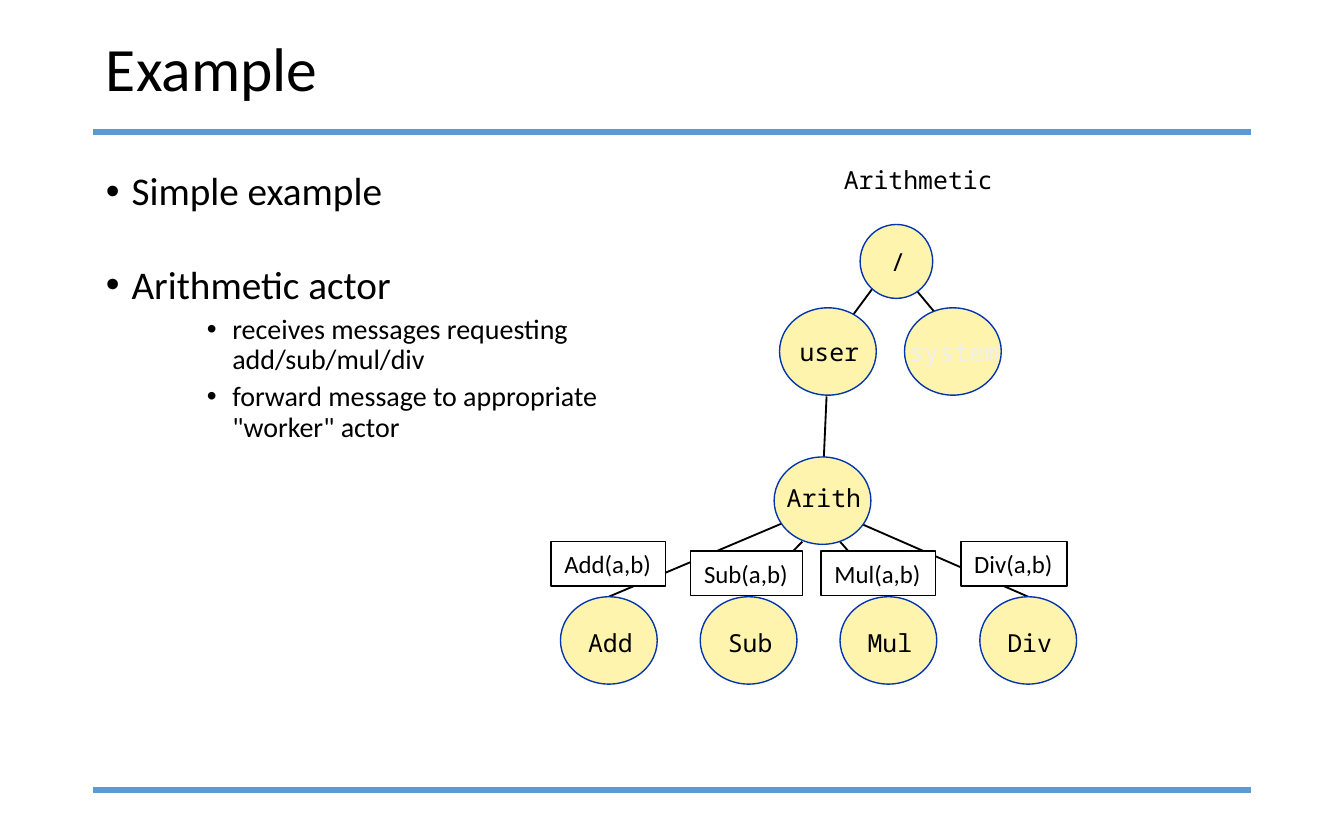
import pptx
import pptx.dml.color
import pptx.enum.shapes
import pptx.enum.text
import pptx.oxml.ns
import pptx.util
import lxml.etree

RGB = pptx.dml.color.RGBColor
BLACK = RGB(0x00, 0x00, 0x00)
WHITE = RGB(0xFF, 0xFF, 0xFF)
PALE = RGB(0xF1, 0xF0, 0xF0)
CREAM = RGB(0xFF, 0xF4, 0xAD)
NAVY = RGB(0x02, 0x35, 0xAD)
BLUE = RGB(0x5B, 0x9B, 0xD5)

SANS, MONO = "Calibri", "Noto Sans Mono"
COLS, ROWS = 100, 62.5  # each cell of the grid is a tenth of an inch
WIDE, HIGH = 10, 6.25
OVAL = pptx.enum.shapes.MSO_SHAPE.OVAL
BOX = pptx.enum.shapes.MSO_SHAPE.RECTANGLE
MIDDLE = pptx.enum.text.MSO_ANCHOR.MIDDLE
LEFT = pptx.enum.text.PP_ALIGN.LEFT


def write(para, text, font=SANS, size=13.3, color=BLACK, level=0,
          space=None, before=None, indent=None):
    """Fill one paragraph; an indent (in columns) also gives it a bullet."""
    para.level = level
    para.alignment = LEFT
    para.line_spacing = space
    if before is not None:
        para.space_before = pptx.util.Pt(before)
    run = para.add_run()
    run.text = text
    run.font.name = font
    run.font.size = pptx.util.Pt(size)
    run.font.color.rgb = color
    if indent is not None:
        props = para._p.get_or_add_pPr()
        props.set("marL", str(Deck.across(indent)))
        props.set("indent", str(-Deck.across(1.9)))
        for tag, key, value in (("a:buFont", "typeface", "Arial"),
                                ("a:buChar", "char", "•")):
            mark = lxml.etree.SubElement(props, pptx.oxml.ns.qn(tag))
            mark.set(key, value)


class Deck:
    """Holds the style and the current slide; lengths are columns and rows."""

    def __init__(self):
        self.show = pptx.Presentation()
        self.show.slide_width = pptx.util.Inches(WIDE)
        self.show.slide_height = pptx.util.Inches(HIGH)
        self.slide = self.show.slides.add_slide(self.show.slide_layouts[6])
        self.shapes = self.slide.shapes

    @staticmethod
    def across(cols):
        return pptx.util.Inches(cols * WIDE / COLS)

    @staticmethod
    def down(rows):
        return pptx.util.Inches(rows * HIGH / ROWS)

    def place(self, x, y, w, h):
        return self.across(x), self.down(y), self.across(w), self.down(h)

    def line(self, x1, y1, x2, y2, color=BLACK, width=1):
        kind = pptx.enum.shapes.MSO_CONNECTOR.STRAIGHT
        link = self.shapes.add_connector(
            kind, self.across(x1), self.down(y1), self.across(x2), self.down(y2))
        link.line.color.rgb = color
        link.line.width = pptx.util.Pt(width)
        lxml.etree.SubElement(link._element.spPr, pptx.oxml.ns.qn("a:effectLst"))

    def block(self, x, y, w, h):
        """Wrapping text area, returned for its paragraphs to be filled."""
        frame = self.shapes.add_textbox(*self.place(x, y, w, h)).text_frame
        frame.word_wrap = True
        return frame

    def fit(self, frame, text, **style):
        frame.word_wrap = False
        frame.auto_size = pptx.enum.text.MSO_AUTO_SIZE.SHAPE_TO_FIT_TEXT
        write(frame.paragraphs[0], text, **style)

    def label(self, x, y, text, color=BLACK):
        """Monospaced label centred on column x, its width set by the text."""
        w = 2 + 1.12 * len(text)
        area = self.shapes.add_textbox(*self.place(x - w / 2, y, w, 3.3))
        self.fit(area.text_frame, text, font=MONO, color=color)

    def form(self, kind, x, y, w, h, fill, edge):
        shape = self.shapes.add_shape(kind, *self.place(x, y, w, h))
        shape.shadow.inherit = False
        shape.fill.solid()
        shape.fill.fore_color.rgb = fill
        shape.line.color.rgb = edge
        shape.line.width = pptx.util.Pt(0.75)
        return shape

    def node(self, x, y, text, w=7.2, h=6.5, drop=0.1, color=BLACK):
        self.form(OVAL, x, y, w, h, CREAM, NAVY)
        self.label(x + w / 2 + 0.15, y + (h - 3.3) / 2 + drop, text, color)

    def note(self, x, y, w, text):
        shape = self.form(BOX, x, y, w, 3.3, WHITE, BLACK)
        self.fit(shape.text_frame, text)

    def save(self):
        self.show.save("out.pptx")


def main():
    deck = Deck()

    # Rules above and below the content
    for row in (9.8, 58.8):
        deck.line(6.9, row, 93.1, row, BLUE, 3)

    # Title
    head = deck.block(6.9, 1.8, 86.2, 7)
    head.vertical_anchor = MIDDLE
    write(head.paragraphs[0], "Example", size=33, space=0.9)

    # Bullets
    main_style = dict(size=21, indent=1.9)
    sub_style = dict(size=15, indent=9.4, level=2, before=3.8)
    points = [
        ("Simple example", dict(main_style, before=7.5)),
        ("Arithmetic actor", dict(main_style, before=27.5)),
        ("receives messages requesting add/sub/mul/div", sub_style),
        ("forward message to appropriate \"worker\" actor", sub_style),
    ]
    body = deck.block(6.9, 12.3, 38.9, 27.1)
    for i, (text, style) in enumerate(points):
        para = body.add_paragraph() if i else body.paragraphs[0]
        write(para, text, space=0.9, **style)

    # Tree edges, behind the nodes
    first, step, top = 41.7, 10.4, 44.4
    deck.line(64.9, 21.5, 63.2, 23.8)
    deck.line(68.1, 21.5, 69.6, 23.3)
    deck.line(61.5, 29.5, 61.3, 34)
    starts = [(58.3, 38.9), (59.7, 40.3), (62.5, 40.3), (63.9, 38.9)]
    for i, (x, y) in enumerate(starts):
        deck.line(x, y, first + i * step + 3.6, top)

    # Tree nodes
    deck.label(68.4, 11.8, "Arithmetic")
    deck.node(64, 16.7, "/", w=5.4, h=5.5)
    deck.node(58, 22.9, "user")
    deck.node(67.3, 22.9, "system", color=PALE)
    deck.node(57.6, 34, "Arith", drop=-0.2)
    for i, name in enumerate(("Add", "Sub", "Mul", "Div")):
        deck.node(first + i * step, top, name, drop=0.2)

    # Messages on the worker edges
    for x, y, w, name in ((41, 40.3, 8.5, "Add"), (51.4, 41, 8.3, "Sub"),
                          (61.1, 41, 8.5, "Mul"), (71.5, 40.3, 7.9, "Div")):
        deck.note(x, y, w, name + "(a,b)")

    deck.save()


if __name__ == "__main__":
    main()
